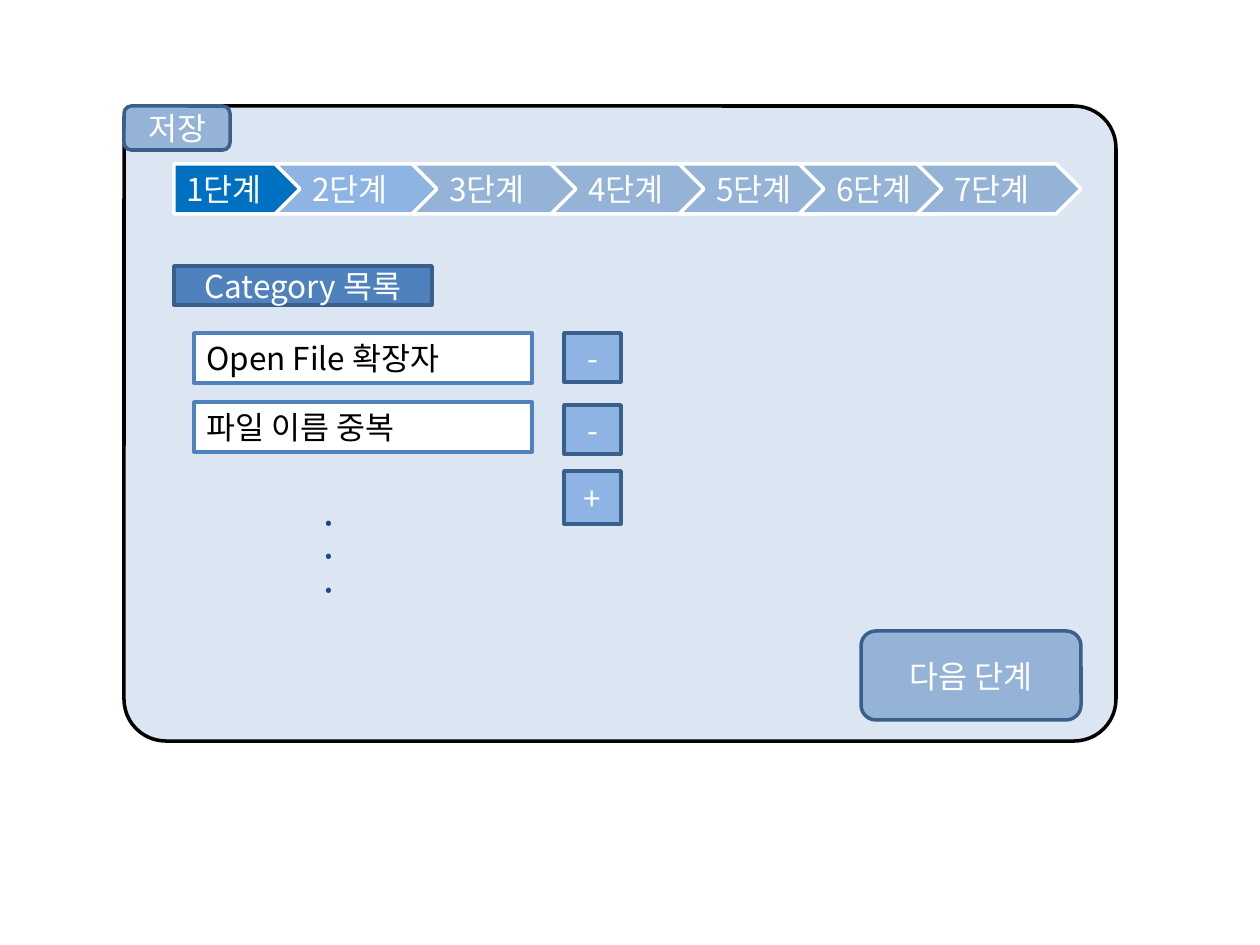
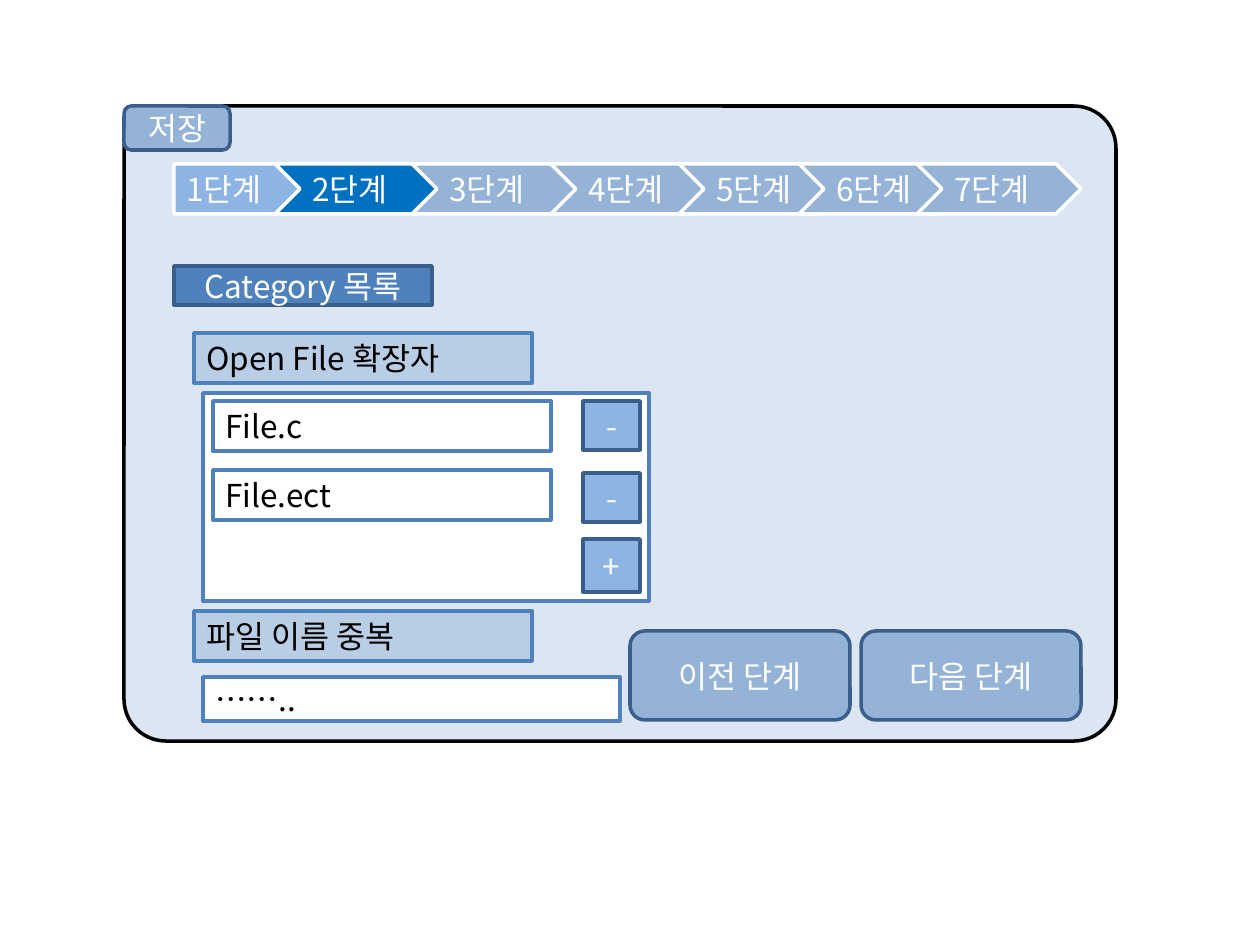
from lxml import etree
from pptx import Presentation
from pptx.dml.color import RGBColor
from pptx.enum.shapes import MSO_SHAPE
from pptx.enum.text import MSO_ANCHOR, MSO_AUTO_SIZE, PP_ALIGN
from pptx.oxml.ns import qn
from pptx.util import Pt

RECTANGLE = MSO_SHAPE.RECTANGLE
ROUNDED = MSO_SHAPE.ROUNDED_RECTANGLE
PENTAGON = MSO_SHAPE.PENTAGON
CHEVRON = MSO_SHAPE.CHEVRON
LEFT, CENTER = PP_ALIGN.LEFT, PP_ALIGN.CENTER
TOP, MIDDLE = MSO_ANCHOR.TOP, MSO_ANCHOR.MIDDLE
FIT_SHAPE = MSO_AUTO_SIZE.SHAPE_TO_FIT_TEXT

FONT = "Noto Sans CJK KR"
EMU_PER_PX = 914400 / 126
WHITE, BLACK, NAVY = "FFFFFF", "000000", "1F497D"
PANEL, HEADING, ACTIVE = "DCE6F2", "4F81BD", "0070C0"
BUTTON, SMALL_BUTTON, CLOSED_FIELD = "95B3D7", "8EB4E3", "B9CDE5"
BUTTON_LINE, FIELD_LINE = "3A5F8C", "4F81BD"

STEPS = [(174, 127), (275, 166), (412, 169), (551, 164), (679, 164), (799, 164), (917, 164)]
FIELD_LEFT, FIELD_TOP, FIELD_WIDTH, FIELD_HEIGHT = 194, 333, 338, 50
CATEGORIES = ["Open File 확장자", "파일 이름 중복"]


def px(length):
    return round(length * EMU_PER_PX)


def color(hex_value):
    return RGBColor.from_string(hex_value)


class Wizard:
    """Draws the save wizard's screens in one shared style."""

    def __init__(self, presentation):
        self.presentation = presentation
        self.slide = None

    def set_text(self, paragraph, text, size, text_color, align, bold=False):
        paragraph.text = text
        paragraph.alignment = align
        font = paragraph.font
        font.name = FONT
        font.size = Pt(size)
        font.bold = bold
        font.color.rgb = color(text_color)
        properties = paragraph._p.pPr.find(qn("a:defRPr"))
        east_asian = etree.SubElement(properties, qn("a:ea"))
        east_asian.set("typeface", FONT)

    def box(self, kind, place, fill, line, text="", text_color=WHITE,
            align=CENTER, anchor=MIDDLE):
        shape = self.slide.shapes.add_shape(kind, *map(px, place))
        shape.shadow.inherit = False
        shape.fill.solid()
        shape.fill.fore_color.rgb = color(fill)
        shape.line.color.rgb = color(line)
        shape.line.width = Pt(2)
        if text:
            frame = shape.text_frame
            frame.word_wrap = True
            frame.vertical_anchor = anchor
            self.set_text(frame.paragraphs[0], text, 18, text_color, align)
        return shape

    def field(self, left, top, text="", fill=WHITE, width=FIELD_WIDTH, height=FIELD_HEIGHT):
        self.box(RECTANGLE, (left, top, width, height), fill, FIELD_LINE, text, BLACK, LEFT)

    def small_button(self, left, top, sign, height=49):
        self.box(RECTANGLE, (left, top, 57, height), SMALL_BUTTON, BUTTON_LINE, sign)

    def step_button(self, left, text):
        self.box(ROUNDED, (left, 631, 220, 89), BUTTON, BUTTON_LINE, text)

    def editable_list(self, left, top, names):
        button_left = left + 370
        for row, name in enumerate(names):
            self.field(left, top + 69 * row, name)
            self.small_button(button_left, top + 72 * row, "-")
        self.small_button(button_left, top + 69 * len(names), "+", 53)

    def vertical_dots(self, place):
        shape = self.slide.shapes.add_textbox(*map(px, place))
        shape.rotation = 90
        frame = shape.text_frame
        frame.word_wrap = False
        frame.auto_size = FIT_SHAPE
        frame._txBody.bodyPr.set("vert", "eaVert")
        for index in range(3):
            paragraph = frame.add_paragraph() if index else frame.paragraphs[0]
            self.set_text(paragraph, ".", 16, NAVY, LEFT, bold=True)

    def steps(self, active):
        for index, (left, width) in enumerate(STEPS):
            kind = CHEVRON if index else PENTAGON
            fill = ACTIVE if index == active else SMALL_BUTTON if index < 2 else BUTTON
            self.box(kind, (left, 164, width, 50), fill, WHITE,
                     f"{index + 1}단계", align=LEFT, anchor=TOP)

    def screen(self, active):
        self.slide = self.presentation.slides.add_slide(self.presentation.slide_layouts[6])
        panel = self.box(ROUNDED, (124, 106, 992, 635), PANEL, BLACK)
        panel.adjustments[0] = 0.066
        self.box(ROUNDED, (124, 106, 106, 44), BUTTON, BUTTON_LINE, "저장")
        self.steps(active)
        self.box(RECTANGLE, (174, 266, 258, 39), HEADING, BUTTON_LINE, "Category 목록")
        self.step_button(861, "다음 단계")


def main():
    presentation = Presentation()
    presentation.slide_width, presentation.slide_height = px(1260), px(945)
    wizard = Wizard(presentation)

    wizard.screen(active=0)
    wizard.editable_list(FIELD_LEFT, FIELD_TOP, CATEGORIES)
    wizard.vertical_dots((268, 549, 127, 20))

    wizard.screen(active=1)
    for top, category in zip((FIELD_TOP, 611), CATEGORIES):
        wizard.field(FIELD_LEFT, top, category, CLOSED_FIELD)
    wizard.field(203, 393, width=446, height=208)
    wizard.editable_list(213, 401, ["File.c", "File.ect"])
    wizard.field(203, 677, "……..", width=417, height=44)
    wizard.step_button(630, "이전 단계")

    presentation.save("out.pptx")


if __name__ == "__main__":
    main()
